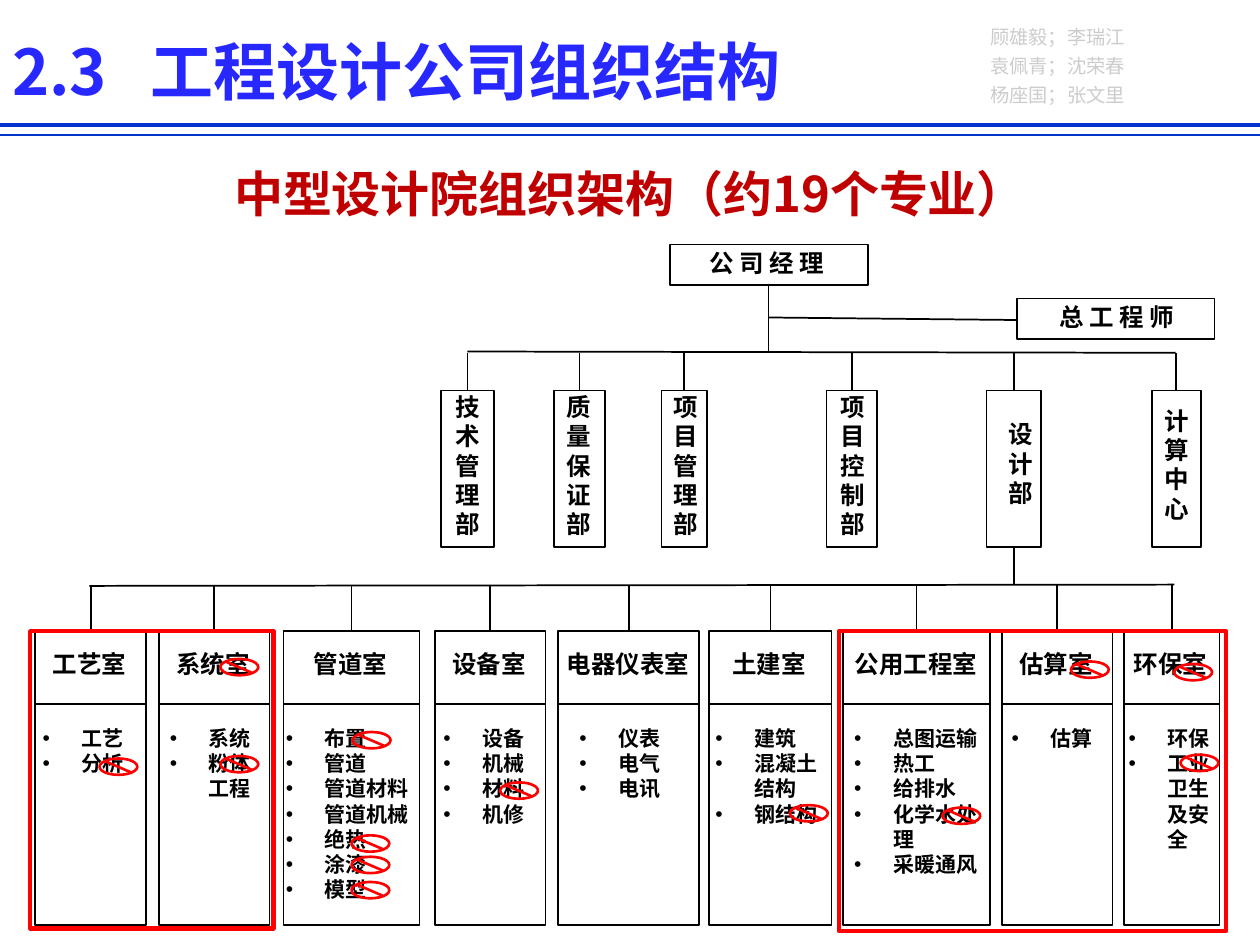
from lxml.etree import SubElement
from pptx import Presentation
from pptx.dml.color import RGBColor
from pptx.enum.shapes import MSO_CONNECTOR, MSO_SHAPE
from pptx.enum.text import PP_ALIGN
from pptx.oxml.ns import qn
from pptx.util import Inches, Pt

BLACK = RGBColor(0x00, 0x00, 0x00)
RED = RGBColor(0xFF, 0x00, 0x00)
DARK_RED = RGBColor(0xC0, 0x00, 0x00)
RULE_BLUE = RGBColor(0x00, 0x33, 0xCC)
TITLE_BLUE = RGBColor(0x27, 0x27, 0xFF)
GRAY = RGBColor(0xCC, 0xCC, 0xCC)
FONT = "Noto Sans CJK SC"
LINE, BOX, OVAL = MSO_CONNECTOR.STRAIGHT, MSO_SHAPE.RECTANGLE, MSO_SHAPE.OVAL

presentation = Presentation()
presentation.slide_width = Inches(10)
presentation.slide_height = Inches(7.5)
slide = presentation.slides.add_slide(presentation.slide_layouts[6])
COLUMN = presentation.slide_width / 100
ROW = presentation.slide_height / 75


def add_text(text, left, top, width, height, size=14, color=BLACK, bold=True,
             align=None, spacing=None, bullet=False, tab=None):
    box = slide.shapes.add_textbox(round(left * COLUMN), round(top * ROW),
                                   round(width * COLUMN), round(height * ROW))
    frame = box.text_frame
    frame.word_wrap = True
    for index, line in enumerate(text.split("\n")):
        paragraph = frame.paragraphs[0] if index == 0 else frame.add_paragraph()
        paragraph.alignment = align
        paragraph.line_spacing = spacing
        properties = paragraph._p.get_or_add_pPr()
        if bullet:
            indent = round(3.1 * COLUMN)
            properties.set("marL", str(indent))
            properties.set("indent", str(-indent))
            SubElement(properties, qn("a:buFont")).set("typeface", "Arial")
            SubElement(properties, qn("a:buChar")).set("char", "•")
        if tab:
            stop = SubElement(SubElement(properties, qn("a:tabLst")), qn("a:tab"))
            stop.set("pos", str(round(tab * COLUMN)))
            stop.set("algn", "l")
        run = paragraph.add_run()
        run.text = line
        run.font.name = FONT
        run.font.size = Pt(size)
        run.font.bold = bold
        run.font.color.rgb = color
        SubElement(run._r.get_or_add_rPr(), qn("a:ea")).set("typeface", FONT)


def draw(kind, left, top, width, height, color=BLACK, weight=1):
    x, y = round(left * COLUMN), round(top * ROW)
    across, down = round(width * COLUMN), round(height * ROW)
    if kind is LINE:
        shape = slide.shapes.add_connector(kind, x, y, x + across, y + down)
        SubElement(shape._element.spPr, qn("a:effectLst"))
    else:
        shape = slide.shapes.add_shape(kind, x, y, across, down)
        shape.shadow.inherit = False
        shape.fill.background()
    shape.line.color.rgb = color
    shape.line.width = Pt(weight)


add_text("顾雄毅；李瑞江\n袁佩青；沈荣春\n杨座国；张文里", 77.6, 1.1, 14.2, 7.7,
         size=11, color=GRAY, bold=False, align=PP_ALIGN.JUSTIFY, spacing=1.25)
draw(LINE, 0, 9.9, 100, 0, RULE_BLUE, 2.25)
draw(LINE, 0, 10.7, 100, 0, RULE_BLUE, 1)

rooms = [
    ("工艺室", 2.8, 8.8, 2.4, 9.1, "工艺\n分析"),
    ("系统室", 12.6, 8.8, 12.5, 9.1, "系统\n粉体工程"),
    ("管道室", 22.5, 10.8, 21.7, 12.8, "布置\n管道\n管道材料\n管道机械\n绝热\n涂漆\n模型"),
    ("设备室", 34.5, 8.8, 34.2, 9.1, "设备\n机械\n材料\n机修"),
    ("电器仪表室", 44.3, 11.2, 45, 9.1, "仪表\n电气\n电讯"),
    ("土建室", 56.3, 9.7, 55.8, 10.8, "建筑\n混凝土结构\n钢结构"),
    ("公用工程室", 66.9, 11.7, 66.8, 12.5, "总图运输\n热工\n给排水\n化学水处理\n采暖通风"),
    ("估算室", 79.5, 8.8, 79.3, 9.1, "估算"),
    ("环保室", 89.2, 7.6, 88.6, 9.1, "环保\n工业卫生及安全"),
]
for name, left, width, list_left, list_width, specialties in rooms:
    center = left + width / 2
    name_width = 2.3 + 1.9 * len(name)
    draw(BOX, left, 50.1, width, 23.3)
    draw(LINE, left, 55.9, width, 0)
    draw(LINE, center, 46.4, 0, 3.7)
    add_text(name, center - name_width / 2, 51, name_width, 3.4)
    add_text(specialties, list_left, 57.1, list_width,
             1 + 2 * (specialties.count("\n") + 1), size=12, bullet=True)
draw(LINE, 7.1, 46.5, 86.1, -0.1)

departments = [
    ("技术管理部", 35, 4.2, 35.2),
    ("质量保证部", 44, 4, 44),
    ("项目管理部", 52.5, 3.6, 52.5),
    ("项目控制部", 65.6, 4, 65.7),
    ("设计部", 78.3, 4.3, 79.1),
    ("计算中心", 91.4, 3.9, 91.4),
]
for name, left, width, text_left in departments:
    draw(BOX, left, 31, width, 12.4)
    draw(LINE, left + width / 2, 28, 0, 3)
    add_text(name, text_left, 30.6 + 1.1 * (5 - len(name)), 3, 1 + 2.36 * len(name))
draw(LINE, 37.1, 27.9, 56.2, 0.1)
draw(LINE, 80.5, 43.4, 0, 3)
draw(LINE, 61, 22.5, 0, 5.5)
draw(LINE, 61, 25.2, 19.7, 0.2)

for name, left, top, text_left in [("公 司 经 理", 53.2, 19.4, 55.3),
                                   ("总 工 程 师", 80.7, 23.7, 83.1)]:
    draw(BOX, left, top, 15.7, 3.2)
    add_text(name, text_left, top - 0.2, 11.7, 3.4)

draw(BOX, 66.6, 50.1, 30.7, 23.8, RED, 2.5)
draw(BOX, 2.4, 50.1, 19.3, 23.6, RED, 2.5)

strikes = [(7.9, 60.2), (17.5, 52.3), (17.5, 60), (28, 58.1), (27.9, 66.3),
           (27.9, 68), (27.9, 70), (39.7, 62.1), (62.7, 63.9), (74.8, 64.1),
           (85, 52.5), (93.2, 52.7), (93.7, 59.9)]
for left, top in strikes:
    draw(OVAL, left, top, 3, 1.3, RED, 1.5)
    draw(LINE, left + 0.4, top + 0.2, 2.1, 0.9, RED, 1.5)

add_text("2.3\t工程设计公司组织结构", 0, 2.1, 100, 7.1, size=36, color=TITLE_BLUE, tab=11)
add_text("中型设计院组织架构（约19个专业）", 0, 12.5, 100, 6.1,
         size=28, color=DARK_RED, align=PP_ALIGN.CENTER)
presentation.save("out.pptx")
